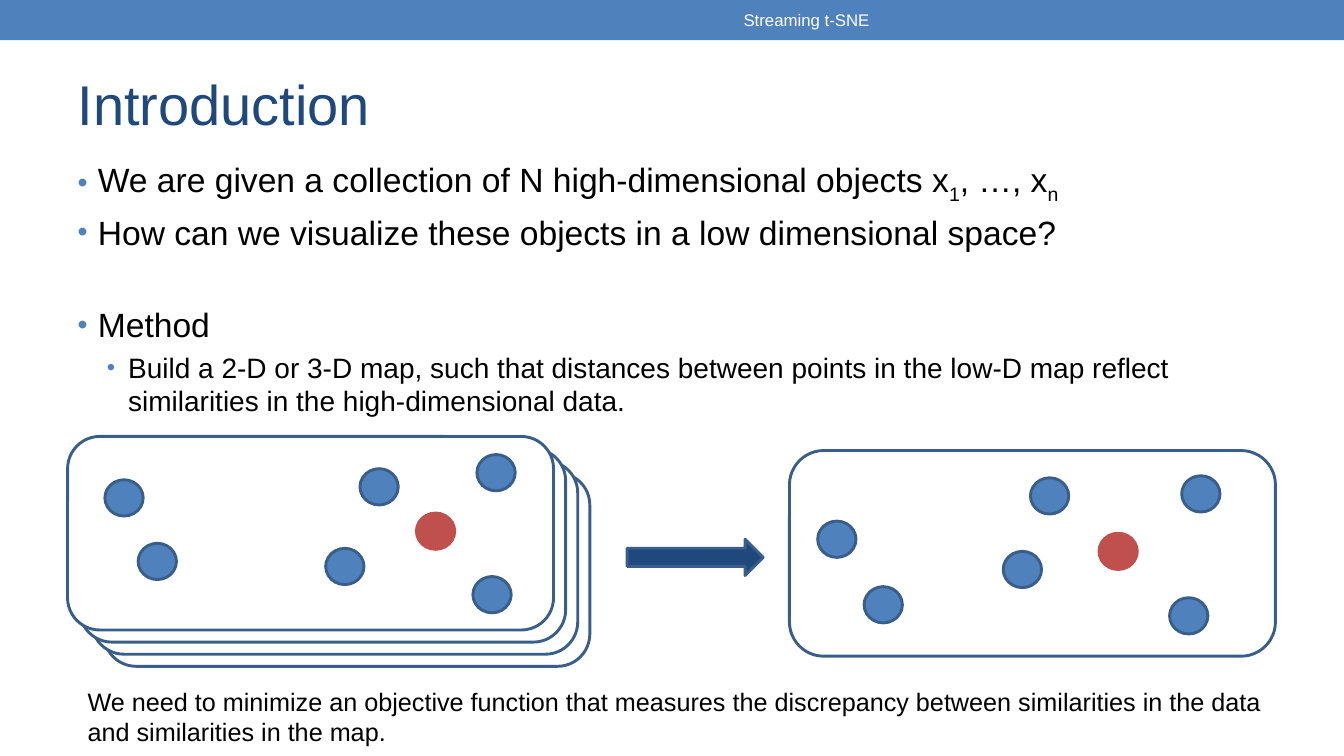
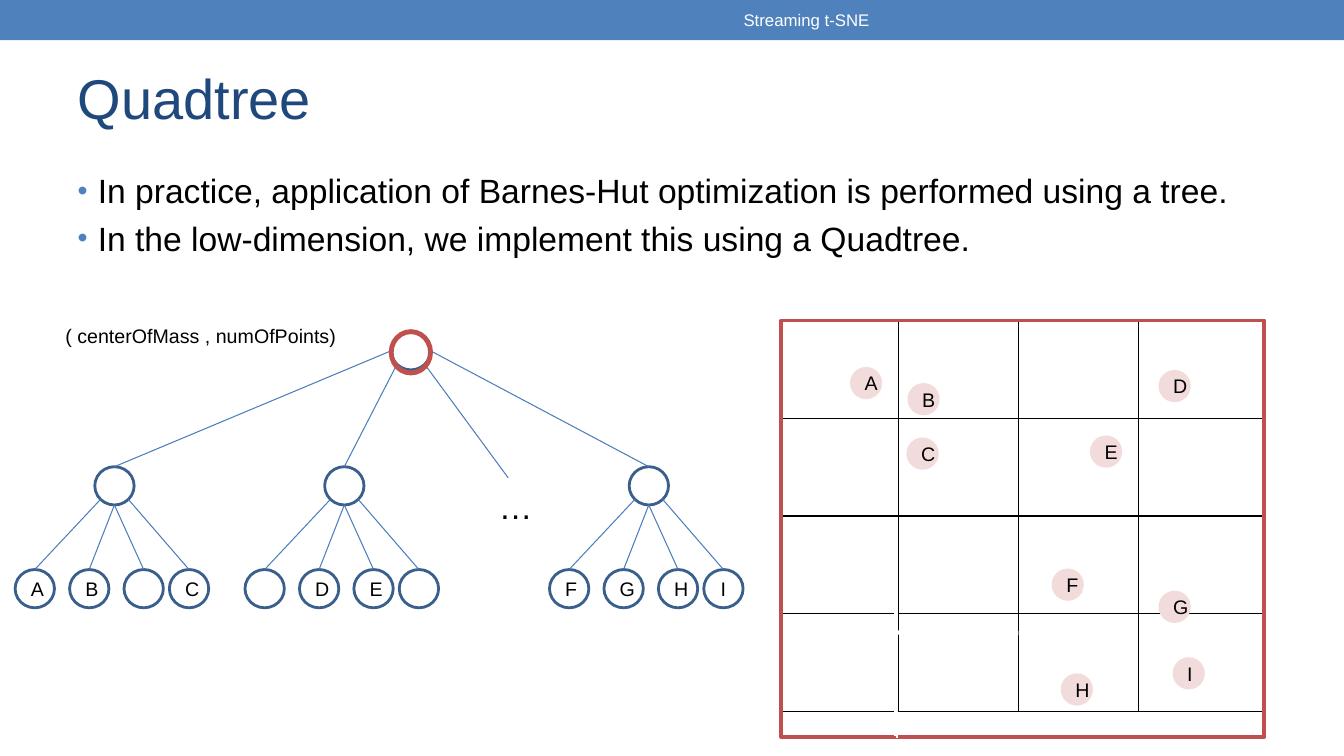
from math import cos, radians, sin

from lxml import etree
from pptx import Presentation
from pptx.dml.color import RGBColor
from pptx.enum.shapes import MSO_CONNECTOR, MSO_SHAPE
from pptx.enum.text import MSO_ANCHOR, MSO_AUTO_SIZE, PP_ALIGN
from pptx.oxml.ns import qn
from pptx.util import Inches, Pt

# Shared style
FONT = "Arial"
BLACK = RGBColor(0x00, 0x00, 0x00)
WHITE = RGBColor(0xFF, 0xFF, 0xFF)
BLUE = RGBColor(0x4F, 0x81, 0xBD)
NAVY = RGBColor(0x1F, 0x49, 0x7D)
OUTLINE = RGBColor(0x39, 0x5E, 0x89)
NODE_LINE = RGBColor(0x3A, 0x5F, 0x8C)
EDGE = RGBColor(0x4B, 0x7E, 0xBC)
RED = RGBColor(0xC0, 0x50, 0x4D)
PINK = RGBColor(0xF2, 0xDC, 0xDB)

RECTANGLE = MSO_SHAPE.RECTANGLE
ROUNDED = MSO_SHAPE.ROUNDED_RECTANGLE
ELLIPSE = MSO_SHAPE.OVAL
ARROW = MSO_SHAPE.RIGHT_ARROW
STRAIGHT = MSO_CONNECTOR.STRAIGHT
LEFT, CENTER = PP_ALIGN.LEFT, PP_ALIGN.CENTER
MIDDLE = MSO_ANCHOR.MIDDLE
NO_FIT, GROW = MSO_AUTO_SIZE.NONE, MSO_AUTO_SIZE.SHAPE_TO_FIT_TEXT

SLIDE_WIDTH, SLIDE_HEIGHT = 13.33, 7.5
TITLE_AND_CONTENT = 1
TOP_SITE = 0

# Positions of the points on the first slide
DOT_SIZE = (0.38, 0.36)
HIGH_DIMENSIONAL_DOTS = [(1.04, 4.76), (1.37, 5.39), (3.57, 4.65),
                         (4.73, 4.51), (3.23, 5.44), (4.69, 5.72)]
LOW_DIMENSIONAL_DOTS = [(8.11, 5.17), (8.57, 5.82), (10.22, 4.74),
                        (11.72, 4.72), (9.95, 5.47), (11.6, 5.93)]

# Tree and map on the second slide
NODE_SIZE = (0.39, 0.38)
LEAF_OFFSETS = (-0.79, -0.25, 0.29, 0.74)
LEAF_ANGLES = (135, 90, 90, 45)
BRANCHES = [(0.94, 180, ("A", "B", "", "C")),
            (3.22, 135, ("", "D", "E", "")),
            (6.24, 0, ("F", "G", "H", "I"))]
MAP_POINTS = {"A": (8.43, 3.64), "B": (9, 3.8), "C": (8.99, 4.34),
              "D": (11.49, 3.67), "E": (10.81, 4.32), "F": (10.43, 5.64),
              "G": (11.49, 5.86), "H": (10.52, 6.68), "I": (11.63, 6.52)}


def place(shape, left, top, width, height):
    shape.left, shape.top = Inches(left), Inches(top)
    shape.width, shape.height = Inches(width), Inches(height)


def write(para, text, size, color=BLACK, align=LEFT):
    """Fill a paragraph; in a list of texts every second one is a subscript."""
    para.alignment = align
    for index, part in enumerate([text] if isinstance(text, str) else text):
        span = para.add_run()
        span.text = part
        span.font.name = FONT
        span.font.size = Pt(size)
        span.font.color.rgb = color
        if index % 2:
            span.font._element.set("baseline", "-25000")


def add_label(page, text, at, size, wrap=True, anchor=None, **style):
    box = page.shapes.add_textbox(*map(Inches, at))
    frame = box.text_frame
    frame.word_wrap = wrap
    frame.auto_size = NO_FIT if wrap else GROW
    if anchor is not None:
        frame.vertical_anchor = anchor
    write(frame.paragraphs[0], text, size, **style)


def add_figure(shapes, kind, at, fill=None, line=None, weight=2.08, text=""):
    figure = shapes.add_shape(kind, *map(Inches, at))
    figure.shadow.inherit = False
    if fill is None:
        figure.fill.background()
    else:
        figure.fill.solid()
        figure.fill.fore_color.rgb = fill
    if line is None:
        figure.line.fill.background()
    else:
        figure.line.color.rgb = line
        figure.line.width = Pt(weight)
    if text:
        figure.text_frame.vertical_anchor = MIDDLE
        write(figure.text_frame.paragraphs[0], text, 14, align=CENTER)
    return figure


def add_line(page, start, end, color=EDGE, weight=0.75):
    """Draw a line between two points given in EMU."""
    line = page.shapes.add_connector(STRAIGHT, *start, *end)
    line.line.color.rgb = color
    line.line.width = Pt(weight)
    etree.SubElement(line._element.spPr, qn("a:effectLst"))
    return line


def rim(circle, angle):
    """Point on a circle's outline, clockwise from its right side."""
    turn = radians(angle)
    return (int(circle.left + circle.width * (1 + cos(turn)) / 2),
            int(circle.top + circle.height * (1 + sin(turn)) / 2))


def add_bullet(para, margin, indent):
    properties = para._p.get_or_add_pPr()
    properties.set("marL", str(Inches(margin)))
    properties.set("indent", str(Inches(indent)))
    color = etree.SubElement(properties, qn("a:buClr"))
    etree.SubElement(color, qn("a:srgbClr"), val=str(BLUE))
    etree.SubElement(properties, qn("a:buSzPct"), val="85000")
    etree.SubElement(properties, qn("a:buFont"), typeface=FONT)
    etree.SubElement(properties, qn("a:buChar"), char="•")


def add_bullets(page, at, items):
    """Fill the body with (text, level, space before) items."""
    body = page.placeholders[1]
    place(body, *at)
    frame = body.text_frame
    frame.auto_size = NO_FIT
    for index, (text, level, space) in enumerate(items):
        para = frame.add_paragraph() if index else frame.paragraphs[0]
        para.level = level
        add_bullet(para, *((0.5, -0.21) if level else (0.2, -0.2)))
        para.space_before = Pt(space)
        write(para, text, 20 if level else 24)


def add_grid(page, left, top, columns, rows):
    frame = page.shapes.add_table(len(rows), len(columns), Inches(left), Inches(top),
                                  Inches(sum(columns)), Inches(sum(rows)))
    table = frame.table
    table.first_row = table.horz_banding = False
    for column, width in zip(table.columns, columns):
        column.width = Inches(width)
    for row, height in zip(table.rows, rows):
        row.height = Inches(height)
    for cell in table.iter_cells():
        properties = cell._tc.get_or_add_tcPr()
        for side in ("lnL", "lnR", "lnT", "lnB"):
            border = etree.SubElement(properties, qn(f"a:{side}"), w=str(Pt(1)))
            fill = etree.SubElement(border, qn("a:solidFill"))
            etree.SubElement(fill, qn("a:srgbClr"), val=str(BLACK))
        cell.fill.background()


def add_page(deck, title, title_at):
    page = deck.slides.add_slide(deck.slide_layouts[TITLE_AND_CONTENT])
    place(page.shapes.title, *title_at)
    frame = page.shapes.title.text_frame
    frame.vertical_anchor = MIDDLE
    frame.auto_size = NO_FIT
    write(frame.paragraphs[0], title, 40, color=NAVY)
    add_label(page, "Streaming t-SNE", (5, 0.02, 6, 0.36), 12,
              anchor=MIDDLE, color=WHITE, align=CENTER)
    return page


def add_master_band(deck, page):
    """Move a top band to the master, behind its placeholders."""
    band = add_figure(page.shapes, RECTANGLE, (0, 0, SLIDE_WIDTH, 0.4), fill=BLUE)
    first = next(iter(deck.slide_master.shapes))
    first.element.addprevious(band.element)


def add_dots(shapes, blue_places, red_place):
    for spot in blue_places:
        add_figure(shapes, ELLIPSE, (*spot, *DOT_SIZE), BLUE, OUTLINE)
    add_figure(shapes, ELLIPSE, (*red_place, *DOT_SIZE), RED, RED)


def add_node(page, left, top, text=""):
    return add_figure(page.shapes, ELLIPSE, (left, top, *NODE_SIZE),
                      line=NODE_LINE, weight=2, text=text)


def add_edge(page, parent, angle, child):
    edge = add_line(page, rim(parent, angle), rim(child, 270))
    edge.end_connect(child, TOP_SITE)


def add_tree(page):
    root = add_node(page, 3.88, 3.29)
    for left, root_angle, leaves in BRANCHES:
        branch = add_node(page, left, 4.63)
        add_edge(page, root, root_angle, branch)
        for offset, angle, text in zip(LEAF_OFFSETS, LEAF_ANGLES, leaves):
            leaf = add_node(page, left + offset, 5.65, text)
            add_edge(page, branch, angle, leaf)
    # Omitted branch and highlighted root
    add_line(page, rim(root, 45), (Inches(5.04), Inches(4.74)))
    add_label(page, "…", (4.85, 4.77, 0.54, 0.5), 24, wrap=False)
    add_figure(page.shapes, ELLIPSE, (3.88, 3.29, 0.39, 0.41), line=RED, weight=3.5)
    add_label(page, "( centerOfMass , numOfPoints)", (0.55, 3.16, 2.9, 0.34), 14,
              wrap=False)


def add_map(page):
    add_grid(page, 7.75, 3.18, (1.16, 1.19, 1.19, 1.25), (0.97,) * 4)
    for text, spot in MAP_POINTS.items():
        add_figure(page.shapes, ELLIPSE, (*spot, 0.32, 0.32), PINK, text=text)
    add_figure(page.shapes, RECTANGLE, (7.75, 3.18, 4.79, 4.13), line=RED, weight=2.75)
    # White strokes that thin out the grid
    for start, end, weight in (((8.9, 5.25), (8.9, 7.32), 1.25),
                               ((10.1, 6.28), (7.78, 6.27), 3),
                               ((8.88, 5.23), (8.88, 7.3), 1.25)):
        add_line(page, map(Inches, start), map(Inches, end), WHITE, weight)


def build_introduction(deck):
    page = add_page(deck, "Introduction", (0.67, 0.48, 12, 1.08))
    add_master_band(deck, page)
    add_bullets(page, (0.67, 1.53, 12, 5.33), [
        (["We are given a collection of N high-dimensional objects x", "1", ", …, x", "n"],
         0, 0),
        ("How can we visualize these objects in a low dimensional space?", 0, 4.8),
        ("Method", 0, 37.2),
        ("Build a 2-D or 3-D map, such that distances between points in the low-D map "
         "reflect similarities in the high-dimensional data.", 1, 4),
    ])
    # Stack of high-dimensional data
    for step in (3, 2, 1, 0):
        shift = 0.12 * step
        add_figure(page.shapes, ROUNDED, (0.67 + shift, 4.33 + shift, 4.82, 1.92),
                   WHITE, OUTLINE)
    add_dots(page.shapes, HIGH_DIMENSIONAL_DOTS, (4.13, 5.09))
    add_figure(page.shapes, ARROW, (6.22, 5.35, 1.35, 0.36), NAVY, OUTLINE)
    # Low-dimensional map
    group = page.shapes.add_group_shape()
    add_figure(group.shapes, ROUNDED, (7.83, 4.47, 4.82, 2.04), WHITE, OUTLINE)
    add_dots(group.shapes, LOW_DIMENSIONAL_DOTS, (10.9, 5.29))
    add_label(page, "We need to minimize an objective function that measures the "
              "discrepancy between similarities in the data and similarities in the map.",
              (0.77, 6.76, 11.88, 0.71), 18)


def build_quadtree(deck):
    page = add_page(deck, "Quadtree", (0.67, 0.42, 4.33, 1.08))
    add_bullets(page, (0.67, 1.64, 12, 0.92), [
        ("In practice, application of Barnes-Hut optimization is performed using a tree.",
         0, 0),
        ("In the low-dimension, we implement this using a Quadtree.", 0, 4.8),
    ])
    add_tree(page)
    add_map(page)


def main():
    deck = Presentation()
    deck.slide_width, deck.slide_height = Inches(SLIDE_WIDTH), Inches(SLIDE_HEIGHT)
    build_introduction(deck)
    build_quadtree(deck)
    deck.save("out.pptx")


if __name__ == "__main__":
    main()
